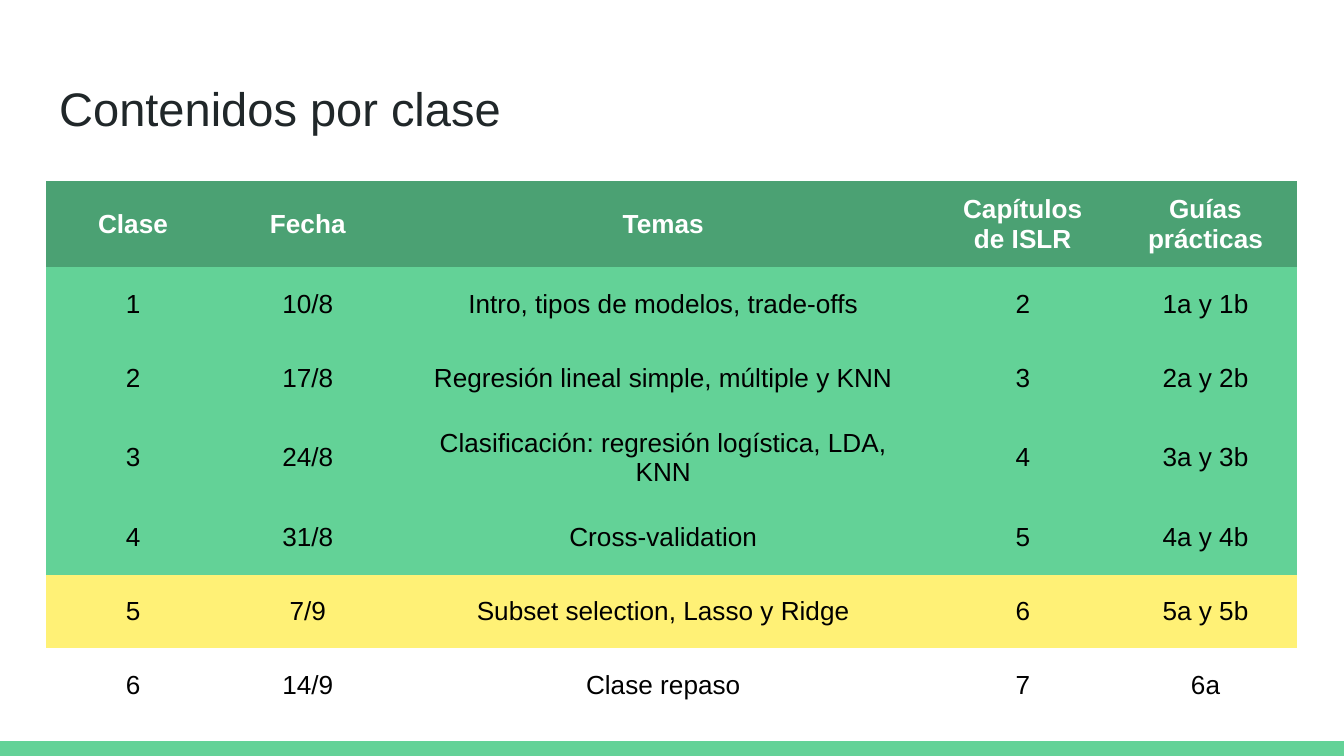
from pptx import Presentation
from pptx.dml.color import RGBColor
from pptx.enum.shapes import MSO_SHAPE
from pptx.enum.text import MSO_ANCHOR, PP_ALIGN
from pptx.oxml.ns import qn
from pptx.util import Inches, Pt

WHITE = RGBColor(0xFF, 0xFF, 0xFF)
BLACK = RGBColor(0x00, 0x00, 0x00)
INK = RGBColor(0x20, 0x27, 0x29)
DARK_GREEN = RGBColor(0x4B, 0xA1, 0x73)
GREEN = RGBColor(0x63, 0xD2, 0x97)
YELLOW = RGBColor(0xFF, 0xF1, 0x76)

SLIDE_WIDTH = 10
SLIDE_HEIGHT = SLIDE_WIDTH * 9 / 16
BAR_HEIGHT = 0.11

NO_STYLE_NO_GRID = "{2D5ABB26-0587-4C30-8999-92F81FD0307C}"
COLUMN_WIDTHS = [1.3, 1.3, 3.99, 1.36, 1.36]
ROW_HEIGHT = 0.55

HEADER = ["Clase", "Fecha", "Temas", "Capítulos de ISLR", "Guías prácticas"]
CLASSES = [
    ["1", "10/8", "Intro, tipos de modelos, trade-offs", "2", "1a y 1b"],
    ["2", "17/8", "Regresión lineal simple, múltiple y KNN", "3", "2a y 2b"],
    ["3", "24/8", "Clasificación: regresión logística, LDA, KNN", "4", "3a y 3b"],
    ["4", "31/8", "Cross-validation", "5", "4a y 4b"],
    ["5", "7/9", "Subset selection, Lasso y Ridge", "6", "5a y 5b"],
    ["6", "14/9", "Clase repaso", "7", "6a"],
]
ROW_FILLS = [DARK_GREEN] + [GREEN] * 4 + [YELLOW, None]


class SlideBuilder:
    font_name = "Arial"
    inset = Inches(0.1)

    def __init__(self, slide):
        self.slide = slide

    def format_text(self, paragraph, size, color, bold=False):
        for run in paragraph.runs:
            run.font.name = self.font_name
            run.font.size = Pt(size)
            run.font.bold = bold
            run.font.color.rgb = color

    def set_insets(self, target):
        """Apply the common inset to a cell or a text frame."""
        target.margin_left = target.margin_right = self.inset
        target.margin_top = target.margin_bottom = self.inset

    def bar(self, left, top, width, height, color):
        shape = self.slide.shapes.add_shape(
            MSO_SHAPE.RECTANGLE, Inches(left), Inches(top), Inches(width), Inches(height))
        shape.shadow.inherit = False
        shape.fill.solid()
        shape.fill.fore_color.rgb = color
        shape.line.fill.background()

    def title(self, text, left, top, width, height):
        title = self.slide.shapes.title
        title.left, title.top = Inches(left), Inches(top)
        title.width, title.height = Inches(width), Inches(height)
        text_frame = title.text_frame
        text_frame.text = text
        text_frame.word_wrap = True
        text_frame.vertical_anchor = MSO_ANCHOR.MIDDLE
        self.set_insets(text_frame)
        paragraph = text_frame.paragraphs[0]
        paragraph.alignment = PP_ALIGN.LEFT
        self.format_text(paragraph, 25.2, INK)

    def cell(self, cell, text, fill, is_header):
        cell.text_frame.text = text
        cell.vertical_anchor = MSO_ANCHOR.MIDDLE
        self.set_insets(cell)
        if fill is None:
            cell.fill.background()
        else:
            cell.fill.solid()
            cell.fill.fore_color.rgb = fill
        paragraph = cell.text_frame.paragraphs[0]
        paragraph.alignment = PP_ALIGN.CENTER
        self.format_text(paragraph, 14, WHITE if is_header else BLACK, bold=is_header)

    def table(self, rows, fills, left, top):
        table = self.slide.shapes.add_table(
            len(rows), len(COLUMN_WIDTHS), Inches(left), Inches(top),
            Inches(sum(COLUMN_WIDTHS)), Inches(ROW_HEIGHT * len(rows))).table
        table.horz_banding = False
        table._tbl.tblPr.find(qn("a:tableStyleId")).text = NO_STYLE_NO_GRID
        for column, width in zip(table.columns, COLUMN_WIDTHS):
            column.width = Inches(width)
        for index, (row, texts, fill) in enumerate(zip(table.rows, rows, fills)):
            row.height = Inches(ROW_HEIGHT)
            for cell, text in zip(row.cells, texts):
                self.cell(cell, text, fill, is_header=index == 0)


def main():
    presentation = Presentation()
    presentation.slide_width = Inches(SLIDE_WIDTH)
    presentation.slide_height = Inches(SLIDE_HEIGHT)
    builder = SlideBuilder(presentation.slides.add_slide(presentation.slide_layouts[5]))
    builder.bar(0, SLIDE_HEIGHT - BAR_HEIGHT, SLIDE_WIDTH, BAR_HEIGHT, GREEN)
    builder.title("Contenidos por clase", 0.34, 0.49, 9.32, 0.63)
    builder.table([HEADER] + CLASSES, ROW_FILLS, 0.34, 1.35)
    presentation.save("out.pptx")


if __name__ == "__main__":
    main()
